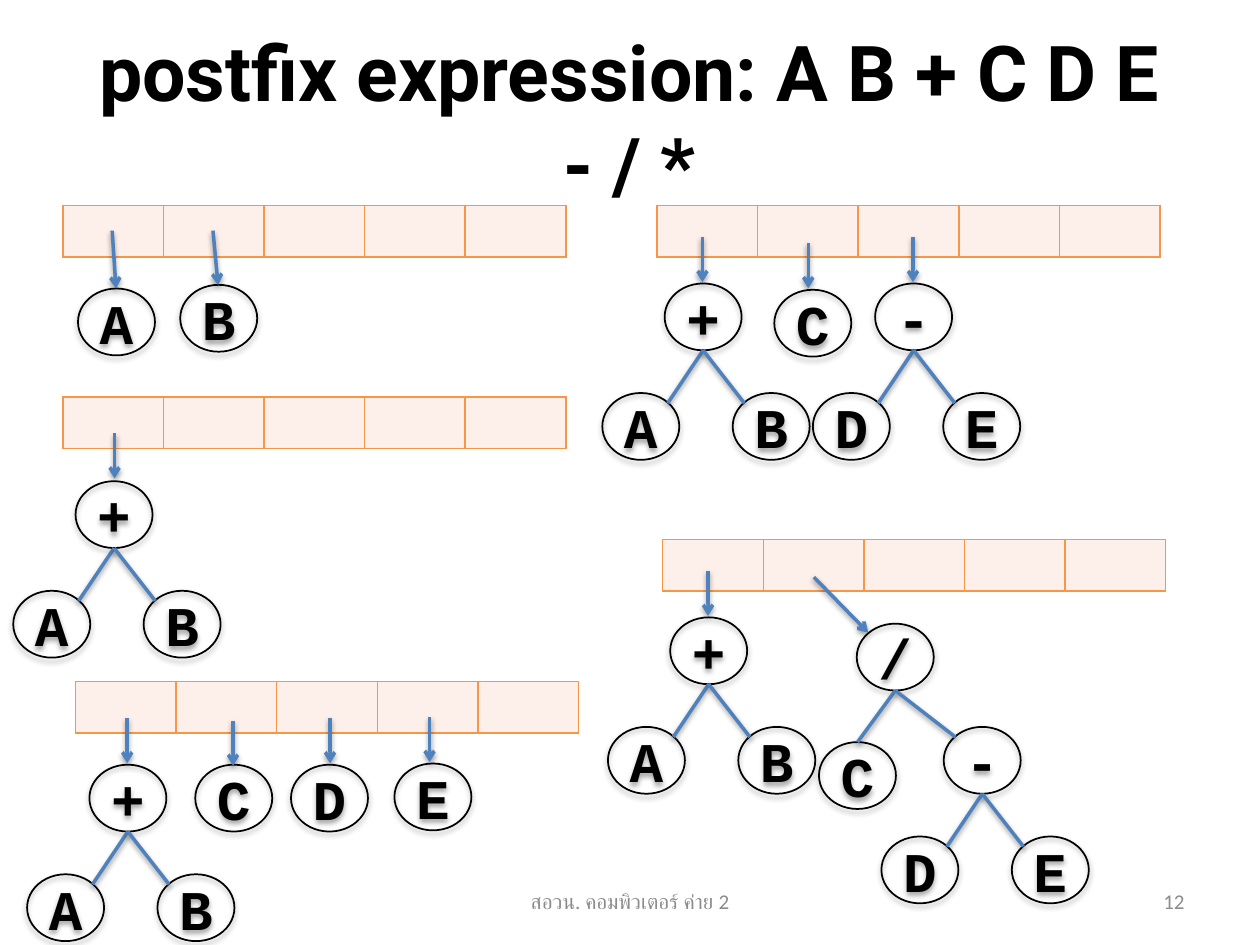
from dataclasses import dataclass

from lxml import etree
from pptx import Presentation
from pptx.dml.color import RGBColor
from pptx.enum import shapes, text
from pptx.oxml import ns
from pptx.util import Pt


@dataclass(frozen=True)
class Theme:
    ink: str = "000000"
    muted: str = "8C8C8C"
    link: str = "4F81BD"
    cell: str = "FDEFE9"
    border: str = "F79646"
    title_font: str = "Roboto"
    node_font: str = "Courier New"
    body_font: str = "Calibri"
    title_size: int = 44
    node_size: int = 32
    small_size: int = 12


T = Theme()
NODE_W, NODE_H = 44, 38.2
CELLS, STACK_W, STACK_H = 5, 287.3, 29.5

# Where an edge meets a child, as fractions of the child's box
TOP, TOP_LEFT, TOP_RIGHT = (0.5, 0), (0.15, 0.15), (0.85, 0.15)


@dataclass
class Node:
    label: str
    children: tuple = ()  # (node, dx, dy, meeting point)


@dataclass
class Entry:
    node: Node
    at: tuple  # node corner, from the stack's corner
    start: tuple  # arrow start, from the stack's corner
    run: tuple = (0, 25.7)


def pair(label, left, right):
    """A node with two children in the usual spread."""
    return Node(label, ((left, -35.6, 62.6, TOP_RIGHT), (right, 38.9, 62.6, TOP_LEFT)))


A, B, C, D, E = map(Node, "ABCDE")
PLUS = pair("+", A, B)
MINUS = pair("-", D, E)
DIVIDE = Node("/", ((C, -21.6, 67.7, TOP), (MINUS, 49.7, 59, TOP_LEFT)))

# Stack corner and what each used cell points to
STACKS = [
    ((36, 117.4), [Entry(A, (8.6, 47.5), (28.1, 14.4), (2.2, 33)),
                   Entry(B, (67, 45.4), (85.7, 14.4), (2.9, 31))]),
    ((36, 226.8), [Entry(PLUS, (7.2, 48.2), (29.5, 20.9))]),
    ((43.2, 389.5), [Entry(PLUS, (7.9, 47.5), (29.5, 20.9)),
                     Entry(C, (68.4, 47.5), (90, 22.3)),
                     Entry(D, (123.1, 47.5), (145.4, 20.9)),
                     Entry(E, (182.2, 46.8), (202.3, 20.2))]),
    ((375.5, 117.4), [Entry(PLUS, (4.3, 44.6), (25.9, 18)),
                      Entry(C, (67, 48.2), (86.4, 21.6)),
                      Entry(MINUS, (124.6, 44.6), (146.2, 18))]),
    ((378.7, 308.2), [Entry(PLUS, (4.3, 44.6), (25.9, 18)),
                      Entry(DIVIDE, (110.9, 48.2), (86.4, 21.6), (31, 31.7))]),
]


def rgb(color):
    return RGBColor.from_string(color)


def sub(parent, tag, **attrs):
    return etree.SubElement(parent, ns.qn(tag), attrs)


def add_shadow(sp, dist, alpha):
    effects = sub(sp._element.spPr, "a:effectLst")
    shadow = sub(effects, "a:outerShdw", blurRad=str(Pt(3.1)), dist=str(Pt(dist)),
                 dir="5400000", rotWithShape="0")
    color = sub(shadow, "a:srgbClr", val=T.ink)
    sub(color, "a:alpha", val=str(alpha * 1000))


def write(sp, words, font, size, color=T.ink, bold=False,
          align=text.PP_ALIGN.CENTER, inset=None):
    tf = sp.text_frame
    tf.word_wrap = True
    tf.vertical_anchor = text.MSO_ANCHOR.MIDDLE
    if inset is not None:
        tf.margin_left = tf.margin_right = tf.margin_top = tf.margin_bottom = Pt(inset)
    p = tf.paragraphs[0]
    p.alignment = align
    r = p.add_run()
    r.text = words
    r.font.name, r.font.size, r.font.bold = font, Pt(size), bold
    r.font.color.rgb = rgb(color)


def add_label(s, box, words, font, size, **fmt):
    write(s.shapes.add_textbox(*map(Pt, box)), words, font, size, **fmt)


def add_line(s, start, end, arrow=False):
    line = s.shapes.add_connector(shapes.MSO_CONNECTOR.STRAIGHT, *map(Pt, (*start, *end)))
    line.line.color.rgb = rgb(T.link)
    line.line.width = Pt(2)
    if arrow:
        sub(line.line._get_or_add_ln(), "a:tailEnd", type="arrow")
    add_shadow(line, 1.6, 38)


def add_tree(s, node, x, y):
    """Draws a node with its corner at x, y, then its subtrees."""
    sp = s.shapes.add_shape(shapes.MSO_SHAPE.OVAL, *map(Pt, (x, y, NODE_W, NODE_H)))
    sp.fill.background()
    sp.line.color.rgb = rgb(T.ink)
    sp.line.width = Pt(1)
    add_shadow(sp, 1.8, 35)
    write(sp, node.label, T.node_font, T.node_size, bold=True, inset=0)
    for child, dx, dy, (fx, fy) in node.children:
        add_tree(s, child, x + dx, y + dy)
        add_line(s, (x + NODE_W / 2, y + NODE_H),
                 (x + dx + fx * NODE_W, y + dy + fy * NODE_H))


def add_cells(s, x, y):
    table = s.shapes.add_table(1, CELLS, *map(Pt, (x, y, STACK_W, STACK_H))).table
    table.first_row = table.horz_banding = False
    for cell in table.iter_cells():
        cell.margin_top = cell.margin_bottom = 0
        tc_pr = cell._tc.get_or_add_tcPr()
        for side in ("a:lnL", "a:lnR", "a:lnT", "a:lnB"):
            fill = sub(sub(tc_pr, side, w=str(Pt(1))), "a:solidFill")
            sub(fill, "a:srgbClr", val=T.border)
        cell.fill.solid()
        cell.fill.fore_color.rgb = rgb(T.cell)


def add_stack(s, corner, entries):
    """Draws a stack and the trees its cells point to."""
    x, y = corner
    add_cells(s, x, y)
    for entry in entries:
        add_tree(s, entry.node, x + entry.at[0], y + entry.at[1])
        start = x + entry.start[0], y + entry.start[1]
        end = start[0] + entry.run[0], start[1] + entry.run[1]
        add_line(s, start, end, arrow=True)


def main():
    prs = Presentation()
    prs.slide_width, prs.slide_height = Pt(720), Pt(540)
    s = prs.slides.add_slide(prs.slide_layouts[6])

    # Title
    add_label(s, (36, 21.6, 648, 90), "postfix expression: A B + C D E - / *",
              T.title_font, T.title_size, bold=True)

    # Stack states
    for corner, entries in STACKS:
        add_stack(s, corner, entries)

    # Footer and slide number
    add_label(s, (246, 500.5, 228, 28.8), "สอวน. คอมพิวเตอร์ ค่าย 2",
              T.body_font, T.small_size, color=T.muted)
    add_label(s, (516, 500.5, 168, 28.8), "12", T.body_font, T.small_size,
              color=T.muted, align=text.PP_ALIGN.RIGHT)

    prs.save("out.pptx")


if __name__ == "__main__":
    main()
